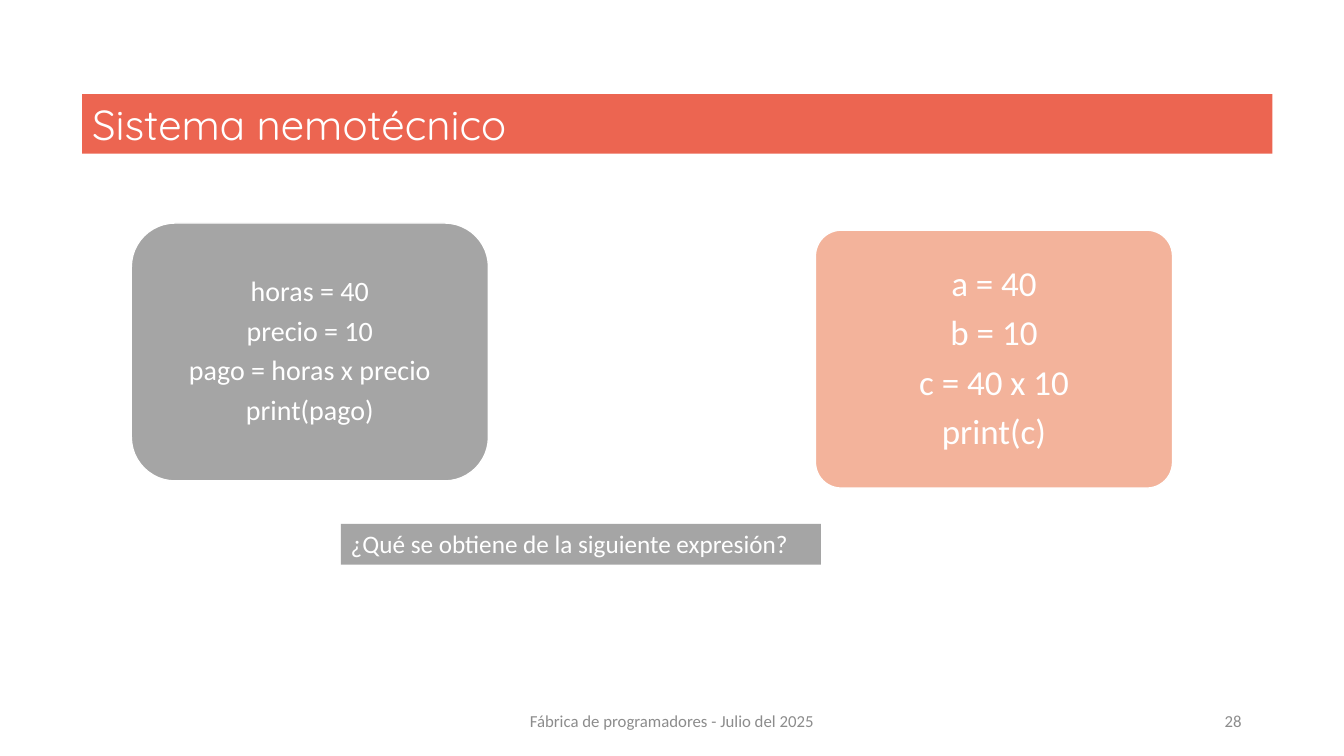
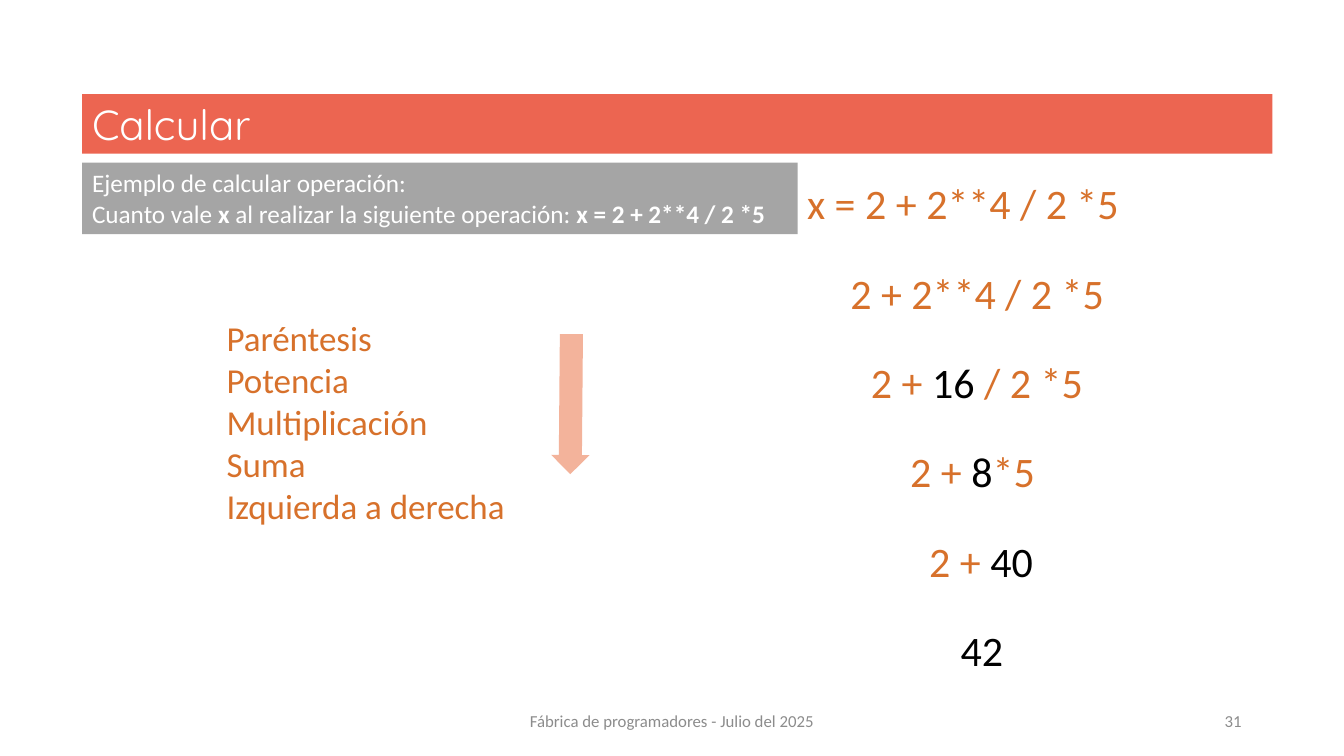
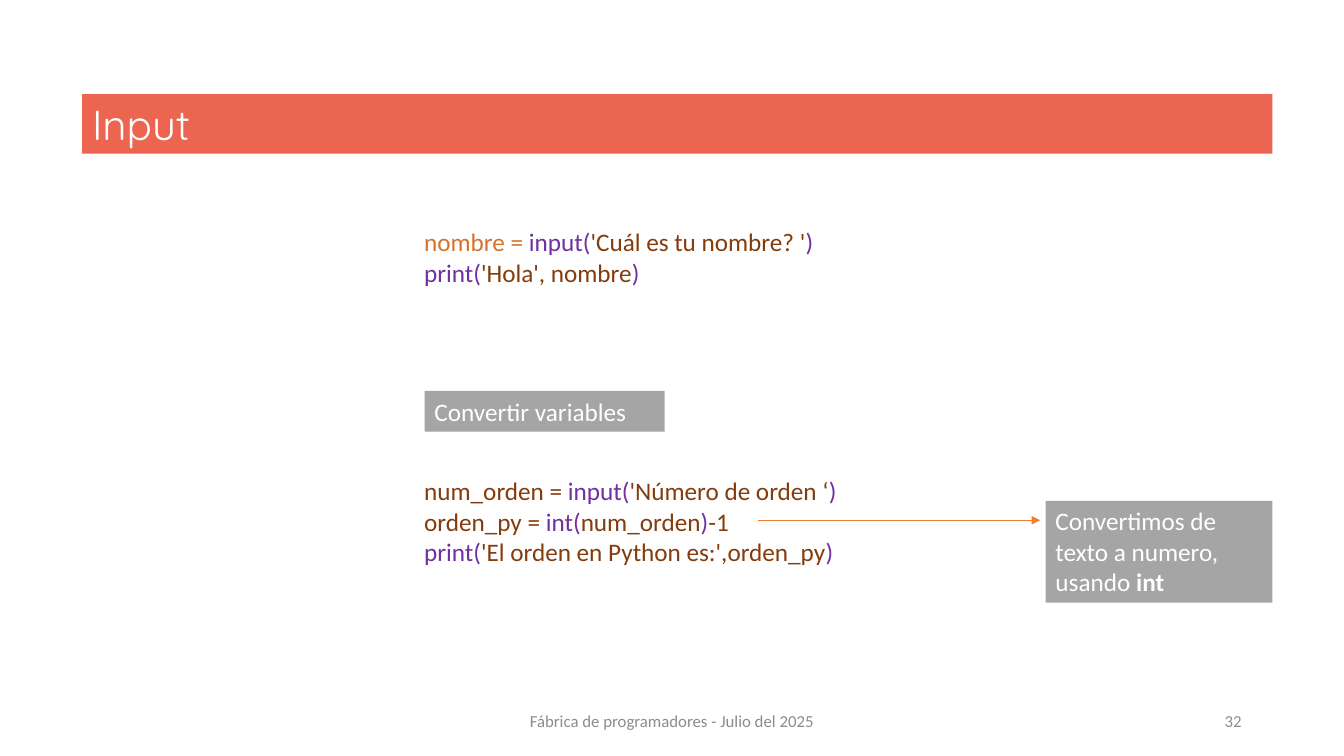
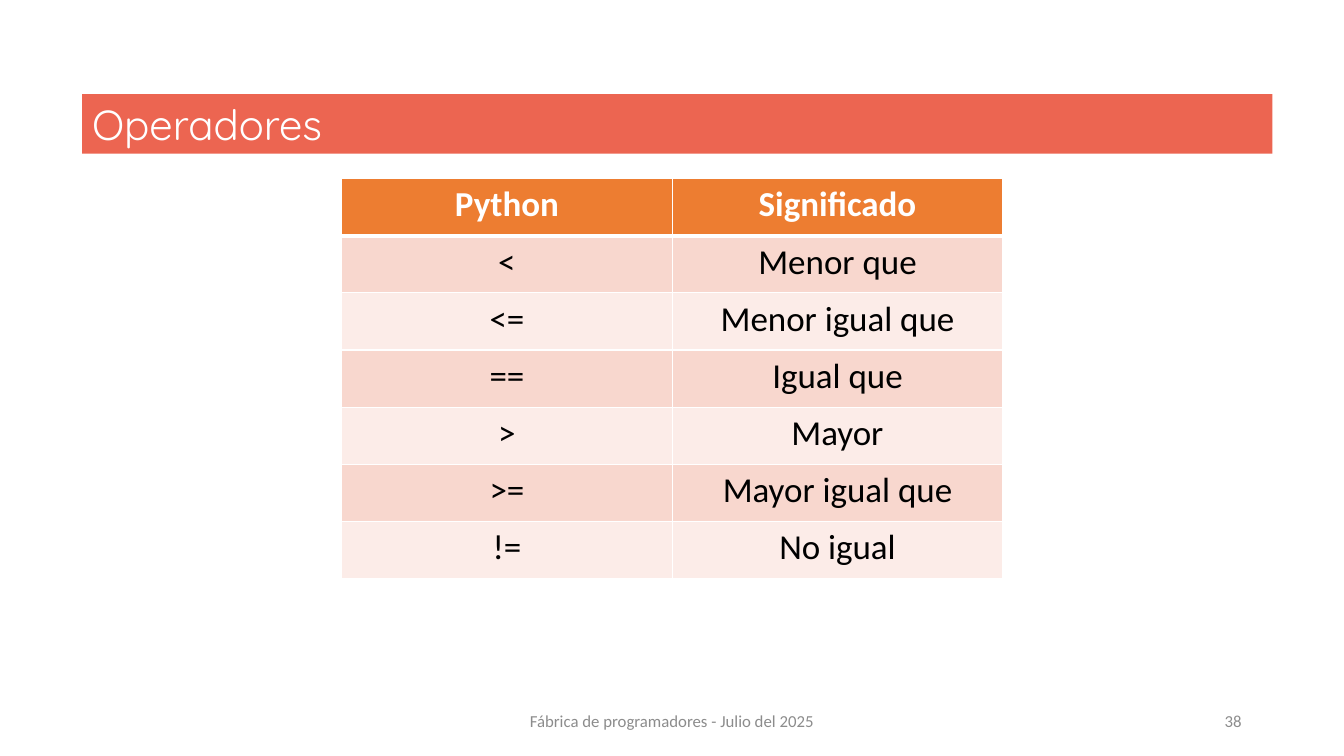
from lxml import etree
from pptx import Presentation
from pptx.dml.color import RGBColor
from pptx.enum.shapes import MSO_CONNECTOR, MSO_SHAPE
from pptx.enum.text import MSO_ANCHOR, PP_ALIGN
from pptx.oxml.ns import qn
from pptx.util import Cm, Pt

RECT = MSO_SHAPE.RECTANGLE
ROUND = MSO_SHAPE.ROUNDED_RECTANGLE
ARROW = MSO_SHAPE.RIGHT_ARROW
LINE = MSO_CONNECTOR.STRAIGHT
TOP, MID = MSO_ANCHOR.TOP, MSO_ANCHOR.MIDDLE
LEFT, CENTER, RIGHT = PP_ALIGN.LEFT, PP_ALIGN.CENTER, PP_ALIGN.RIGHT

COLORS = {
    "white": "FFFFFF",
    "black": "000000",
    "coral": "EC6551",
    "gray": "A5A5A5",
    "foot": "8C8C8C",
    "peach": "F3B39B",
    "rust": "D7712B",
    "orange": "ED7D31",
    "purple": "7030A0",
    "brown": "843C0C",
    "band": "F8D7CE",
    "pale": "FCECE8",
}
BODY, HEAD = "Calibri", "Quicksand"
FOOTER = "Fábrica de programadores - Julio del 2025"


def color(name):
    return RGBColor.from_string(COLORS[name])


def style(font, size, tint, face=BODY, bold=None):
    font.name = face
    font.size = Pt(size)
    font.color.rgb = color(tint)
    font.bold = bold


def write(frame, paras, size, tint, face=BODY, align=LEFT, anchor=TOP):
    frame.word_wrap = True
    frame.vertical_anchor = anchor
    for i, runs in enumerate(paras):
        para = frame.add_paragraph() if i else frame.paragraphs[0]
        para.alignment = align
        style(para.font, size, tint, face)
        if isinstance(runs, str):
            runs = [(runs, tint)]
        for text, hue, *bold in runs:
            run = para.add_run()
            run.text = text
            if hue != tint:
                run.font.color.rgb = color(hue)
            if bold:
                run.font.bold = True


def label(slide, box, paras, size, tint, **look):
    frame = slide.shapes.add_textbox(*map(Cm, box)).text_frame
    write(frame, paras, size, tint, **look)


def block(slide, kind, box, fill):
    shape = slide.shapes.add_shape(kind, *map(Cm, box))
    shape.shadow.inherit = False
    shape.fill.solid()
    shape.fill.fore_color.rgb = color(fill)
    shape.line.fill.background()
    return shape


def note(slide, box, paras):
    shape = block(slide, RECT, box, "gray")
    write(shape.text_frame, paras, 18, "white")


def card(slide, left, top, fill, lines, size, curve):
    shape = block(slide, ROUND, (left, top, 9, 6.5), fill)
    shape.adjustments[0] = curve
    shape.line.color.rgb = color("white")
    shape.line.width = Pt(1)
    write(shape.text_frame, lines, size, "white", align=CENTER, anchor=MID)
    for para in shape.text_frame.paragraphs:
        para.line_spacing = 0.9
        para.space_after = Pt(round(size * 0.33, 1))


def pointer(slide, start, end):
    line = slide.shapes.add_connector(LINE, *map(Cm, start + end))
    line.line.color.rgb = color("orange")
    line.line.width = Pt(0.5)
    stroke = line.line._get_or_add_ln()
    etree.SubElement(stroke, qn("a:tailEnd"), type="triangle")
    etree.SubElement(line._element.spPr, qn("a:effectLst"))


def border(cell, side, width):
    props = cell._tc.get_or_add_tcPr()
    edge = etree.SubElement(props, qn("a:ln" + side), w=str(Pt(width)))
    fill = etree.SubElement(edge, qn("a:solidFill"))
    etree.SubElement(fill, qn("a:srgbClr"), val=COLORS["white"])


def grid(slide, left, top, wide, high, rows):
    size = len(rows), len(rows[0])
    box = left, top, wide * size[1], high * size[0]
    table = slide.shapes.add_table(*size, *map(Cm, box)).table
    for r, row in enumerate(rows):
        table.rows[r].height = Cm(high)
        fill = ("pale", "band")[r % 2] if r else "orange"
        tint = "black" if r else "white"
        for c, text in enumerate(row):
            cell = table.cell(r, c)
            for side in "LRTB":
                thick = (r, side) in ((0, "B"), (1, "T"))
                border(cell, side, 3 if thick else 1)
            cell.fill.solid()
            cell.fill.fore_color.rgb = color(fill)
            write(cell.text_frame, [text], 25, tint, align=CENTER)
            cell.text_frame.paragraphs[0].font.bold = r == 0


def page(deck, title, number):
    slide = deck.slides.add_slide(deck.slide_layouts[6])
    band = block(slide, RECT, (2.07, 2.37, 30, 1.5), "coral")
    write(band.text_frame, [title], 30, "white", face=HEAD, anchor=MID)
    label(slide, (11.22, 17.65, 11.43, 1.02), [FOOTER], 12, "foot",
          align=CENTER, anchor=MID)
    label(slide, (23.92, 17.65, 7.62, 1.02), [str(number)], 12, "foot",
          align=RIGHT, anchor=MID)
    return slide


def naming(deck):
    slide = page(deck, "Sistema nemotécnico", 28)
    card(slide, 3.31, 5.62, "gray",
         ["horas = 40", "precio = 10", "pago = horas x precio", "print(pago)"],
         20, 0.17)
    card(slide, 20.55, 5.8, "peach",
         ["a = 40", "b = 10", "c = 40 x 10", "print(c)"], 25, 0.1)
    note(slide, (8.59, 13.2, 12.1, 1.03),
         ["¿Qué se obtiene de la siguiente expresión?"])


def solving(deck):
    slide = page(deck, "Calcular", 31)
    note(slide, (2.07, 4.1, 18.03, 1.8), [
        "Ejemplo de calcular operación:",
        [("Cuanto vale ", "white"), ("x", "white", True),
         (" al realizar la siguiente operación:", "white"),
         (" x = 2 + 2**4 / 2 *5", "white", True)],
    ])
    label(slide, (5.46, 7.85, 8.46, 5.59),
          ["Paréntesis", "Potencia", "Multiplicación", "Suma",
           "Izquierda a derecha"], 25, "rust")
    arrow = block(slide, ARROW, (12.62, 9.7, 3.53, 0.97), "peach")
    arrow.adjustments[0] = 0.6
    arrow.rotation = 90.5
    steps = [
        (9.4, "x = 2 + 2**4 / 2 *5"),
        (7.22, "2 + 2**4 / 2 *5"),
        (6.18, [("2 + ", "rust"), ("16", "black"), (" / 2 *5", "rust")]),
        (4.2, [("2 + ", "rust"), ("8", "black"), ("*5", "rust")]),
        (3.25, [("2 + ", "rust"), ("40", "black")]),
        (1.66, [("42", "black")]),
    ]
    for i, (wide, runs) in enumerate(steps):
        box = 24.79 - wide / 2, 4.36 + 2.25 * i, wide, 1.54
        label(slide, box, [runs], 30, "rust")


def reading(deck):
    slide = page(deck, "Input", 32)
    label(slide, (10.44, 5.59, 11.33, 1.8), [
        [("nombre = ", "rust"), ("input(", "purple"),
         ("'Cuál es tu nombre? '", "brown"), (")", "purple")],
        [("print(", "purple"), ("'Hola', nombre", "brown"), (")", "purple")],
    ], 18, "brown")
    note(slide, (10.7, 9.85, 6.05, 1.03), ["Convertir variables"])
    label(slide, (10.44, 11.86, 11.05, 2.57), [
        [("num_orden = ", "brown"), ("input(", "purple"),
         ("'Número de orden ‘", "brown"), (")", "purple")],
        [("orden_py = ", "brown"), ("int(", "purple"),
         ("num_orden", "brown"), (")", "purple"), ("-1", "brown")],
        [("print(", "purple"),
         ("'El orden en Python es:',orden_py", "brown"), (")", "purple")],
    ], 18, "brown")
    note(slide, (26.35, 12.62, 5.72, 2.57),
         [[("Convertimos de texto a numero, usando ", "white"),
           ("int", "white", True)]])
    pointer(slide, (19.1, 13.11), (26.21, 13.11))


def symbols(deck):
    slide = page(deck, "Operadores", 38)
    grid(slide, 8.61, 4.5, 8.33, 1.44, [
        ("Python", "Significado"),
        ("<", "Menor que"),
        ("<=", "Menor igual que"),
        ("==", "Igual que"),
        (">", "Mayor"),
        (">=", "Mayor igual que"),
        ("!=", "No igual"),
    ])


def main():
    deck = Presentation()
    deck.slide_width, deck.slide_height = Cm(33.87), Cm(19.05)
    for build in (naming, solving, reading, symbols):
        build(deck)
    deck.save("out.pptx")


if __name__ == "__main__":
    main()
